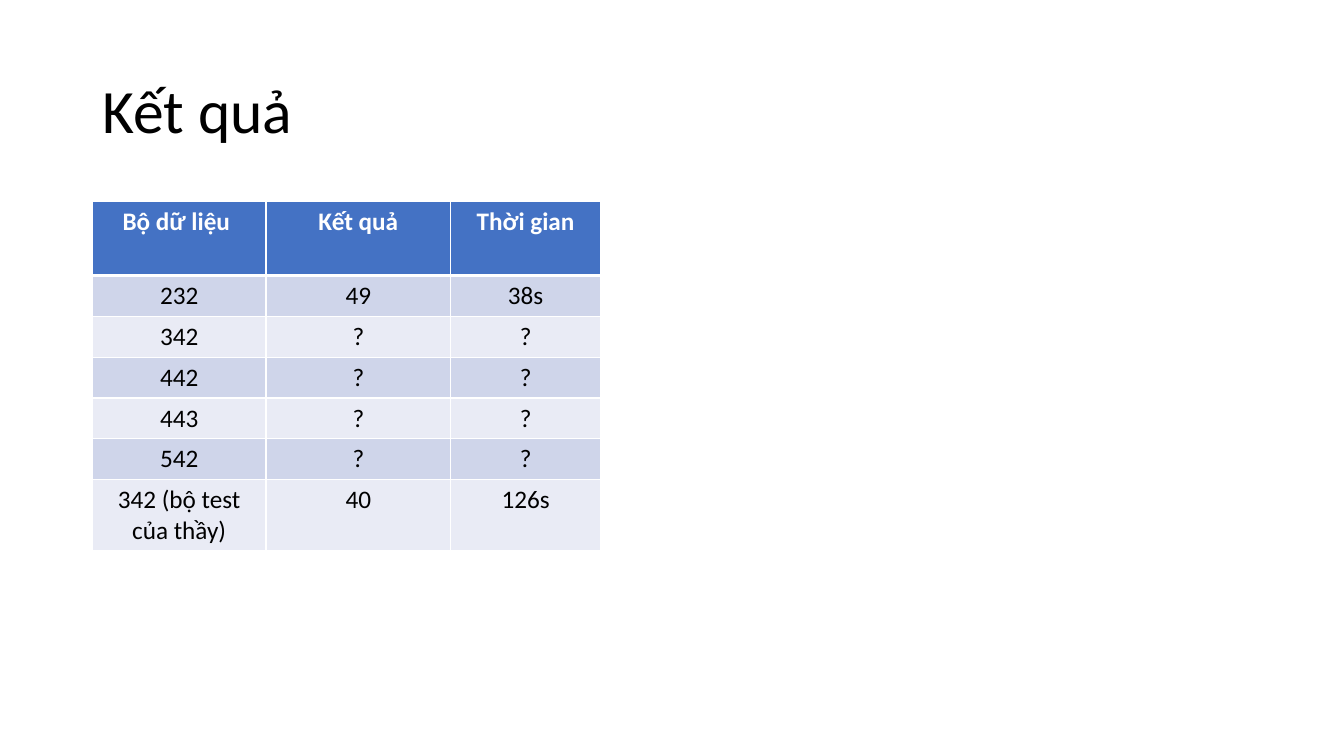
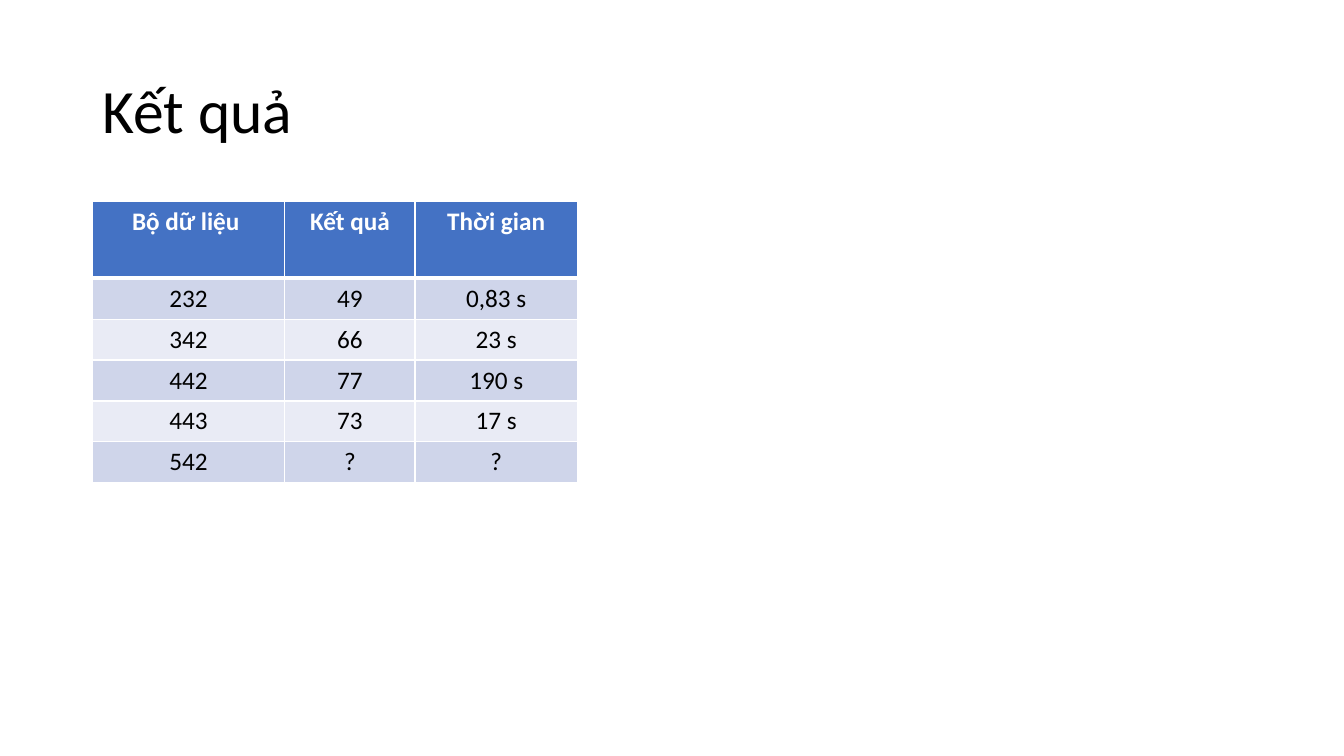
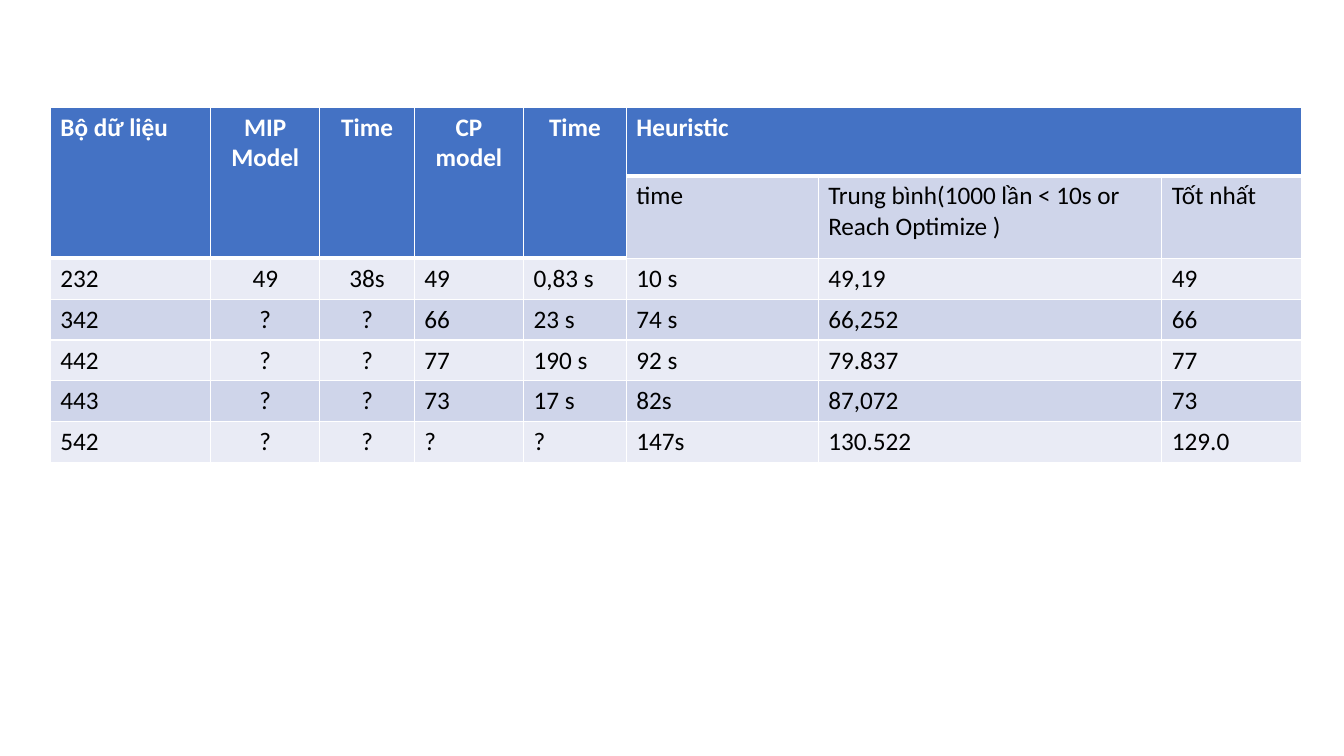
from dataclasses import dataclass
from lxml import etree
from pptx import Presentation
from pptx.dml.color import RGBColor as RGB
from pptx.enum.text import MSO_ANCHOR as Anchor, PP_ALIGN as Align
from pptx.oxml.ns import qn
from pptx.util import Pt


@dataclass(frozen=True)
class Theme:
    font: str = "Calibri"
    title_size: float = 44
    cell_size: float = 18
    ink: str = "000000"
    paper: str = "FFFFFF"
    header: str = "4472C4"
    bands: tuple = ("E9EBF5", "CFD5EA")
    rule: float = 1
    header_rule: float = 3


THEME = Theme()
TITLE_BOX = (66, 28.8, 828, 104.4)
ROW = 29.2
ALIGN = {"l": Align.LEFT, "c": Align.CENTER}
RESULT_HEAD = ["Bộ dữ liệu ", "Kết quả", "Thời gian"]

SLIDES = [
    {
        "title": "Kết quả",
        "origin": (66, 144),
        "columns": [124, 132, 107],
        "heights": [52.7] + [ROW] * 5 + [50.4],
        "head_align": "ccc",
        "body_align": "ccc",
        "spans": [],
        "rows": [
            RESULT_HEAD,
            ["232", "49", "38s"],
            ["342", "?", "?"],
            ["442", "?", "?"],
            ["443", "?", "?"],
            ["542", "?", "?"],
            ["342 (bộ test của thầy)", "40", "126s"],
        ],
    },
    {
        "title": "Kết quả",
        "origin": (66, 144),
        "columns": [137.5, 93, 116],
        "heights": [54.8] + [ROW] * 5,
        "head_align": "ccc",
        "body_align": "ccc",
        "spans": [],
        "rows": [
            RESULT_HEAD,
            ["232", "49", "0,83 s"],
            ["342", "66", "23 s"],
            ["442", "77", "190 s"],
            ["443", "73", "17 s"],
            ["542", "?", "?"],
        ],
    },
    {
        "title": None,
        "origin": (36, 76.5),
        "columns": [114.5, 78, 67.5, 78, 73.5, 137, 245.5, 100],
        "heights": [49, 59] + [ROW] * 5,
        "head_align": "lcccclll",
        "body_align": "lcclllll",
        "spans": [((0, col), (1, col)) for col in range(5)] + [((0, 5), (0, 7))],
        "rows": [
            ["Bộ dữ liệu", "MIP\nModel", "Time", "CP model", "Time", "Heuristic", None, None],
            [None] * 5 + ["time", "Trung bình(1000 lần < 10s or\nReach Optimize )", "Tốt nhất"],
            ["232", "49", "38s", "49", "0,83 s", "10 s", "49,19", "49"],
            ["342", "?", "?", "66", "23 s", "74 s", "66,252", "66"],
            ["442", "?", "?", "77", "190 s", "92 s", "79.837", "77"],
            ["443", "?", "?", "73", "17 s", "82s", "87,072", "73"],
            ["542", "?", "?", "?", "?", "147s", "130.522", "129.0"],
        ],
    },
]


def style_runs(paragraph, size, color, bold=False):
    for run in paragraph.runs:
        run.font.name = THEME.font
        run.font.size = Pt(size)
        run.font.bold = bold
        run.font.color.rgb = RGB.from_string(color)


def add_title(slide, title):
    frame = slide.shapes.add_textbox(*map(Pt, TITLE_BOX)).text_frame
    frame.word_wrap = True
    frame.vertical_anchor = Anchor.MIDDLE
    frame.text = title
    heading = frame.paragraphs[0]
    heading.line_spacing = 0.9
    style_runs(heading, THEME.title_size, THEME.ink)


def set_borders(cell, widths):
    properties = cell._tc.get_or_add_tcPr()
    for index, (side, width) in enumerate(widths.items()):
        line = etree.Element(qn(f"a:ln{side}"), w=str(Pt(width)))
        fill = etree.SubElement(line, qn("a:solidFill"))
        etree.SubElement(fill, qn("a:srgbClr"), val=THEME.paper)
        properties.insert(index, line)


def style_cell(cell, text, is_header, band, align):
    cell.fill.solid()
    cell.fill.fore_color.rgb = RGB.from_string(THEME.header if is_header else band)
    borders = {"L": THEME.rule, "R": THEME.rule}
    if is_header:
        borders["T"] = THEME.rule
    borders["B"] = THEME.header_rule if is_header else THEME.rule
    set_borders(cell, borders)
    if text is None:
        return
    cell.text_frame.text = text
    for paragraph in cell.text_frame.paragraphs:
        paragraph.alignment = ALIGN[align]
        style_runs(paragraph, THEME.cell_size, THEME.paper if is_header else THEME.ink, is_header)


def add_results(slide, content):
    rows, columns, heights = content["rows"], content["columns"], content["heights"]
    box = (*content["origin"], sum(columns), sum(heights))
    table = slide.shapes.add_table(len(rows), len(columns), *map(Pt, box)).table
    for column, width in zip(table.columns, columns):
        column.width = Pt(width)
    for row, height in zip(table.rows, heights):
        row.height = Pt(height)
    for first, last in content["spans"]:
        table.cell(*first).merge(table.cell(*last))
    for r, texts in enumerate(rows):
        aligns = content["body_align" if r else "head_align"]
        for c, (text, align) in enumerate(zip(texts, aligns)):
            is_header = r == 0 or text is None
            style_cell(table.cell(r, c), text, is_header, THEME.bands[r % 2], align)


def main():
    deck = Presentation()
    deck.slide_width, deck.slide_height = Pt(960), Pt(540)
    for content in SLIDES:
        slide = deck.slides.add_slide(deck.slide_layouts[6])
        if content["title"]:
            add_title(slide, content["title"])
        add_results(slide, content)
    deck.save("out.pptx")


if __name__ == "__main__":
    main()
